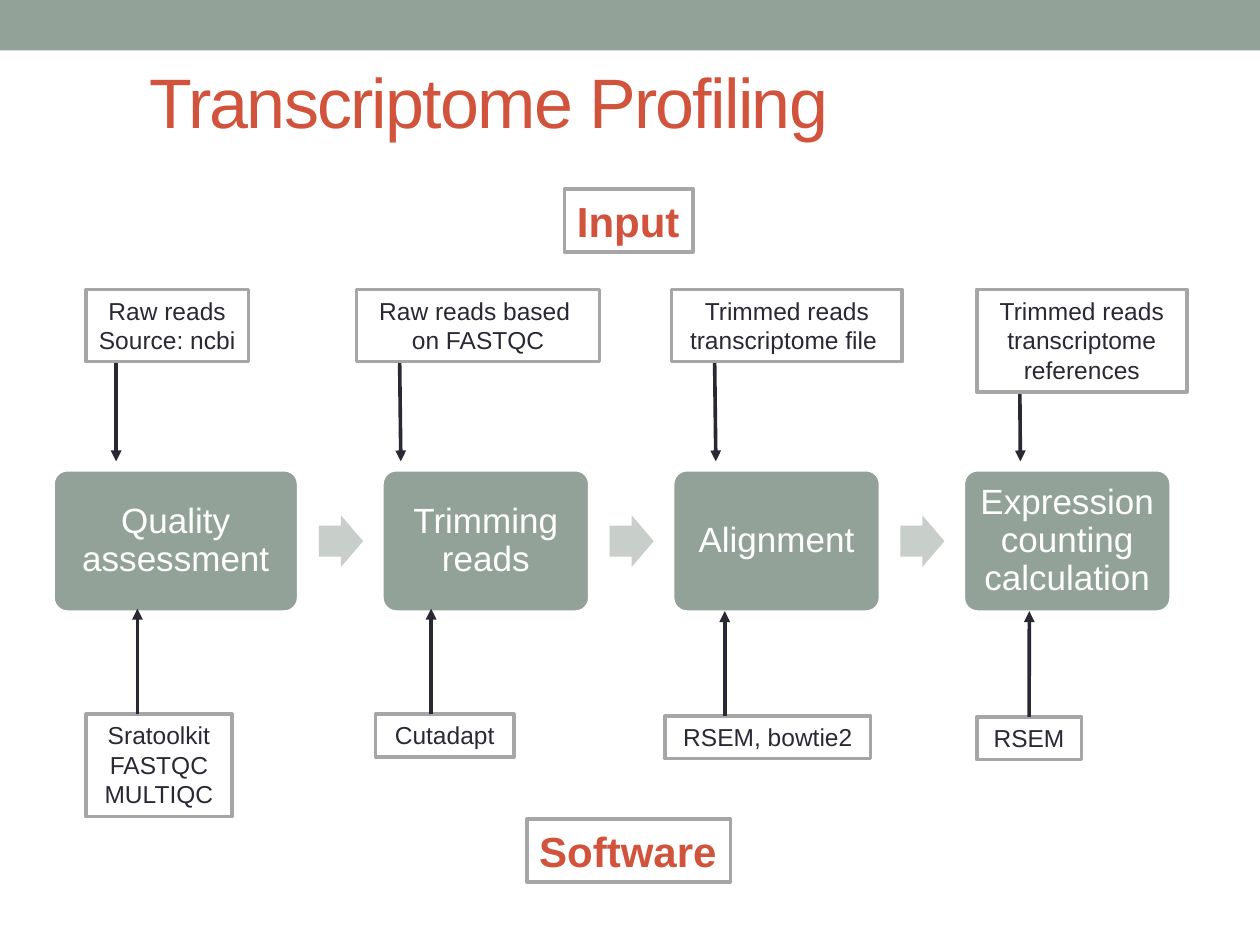
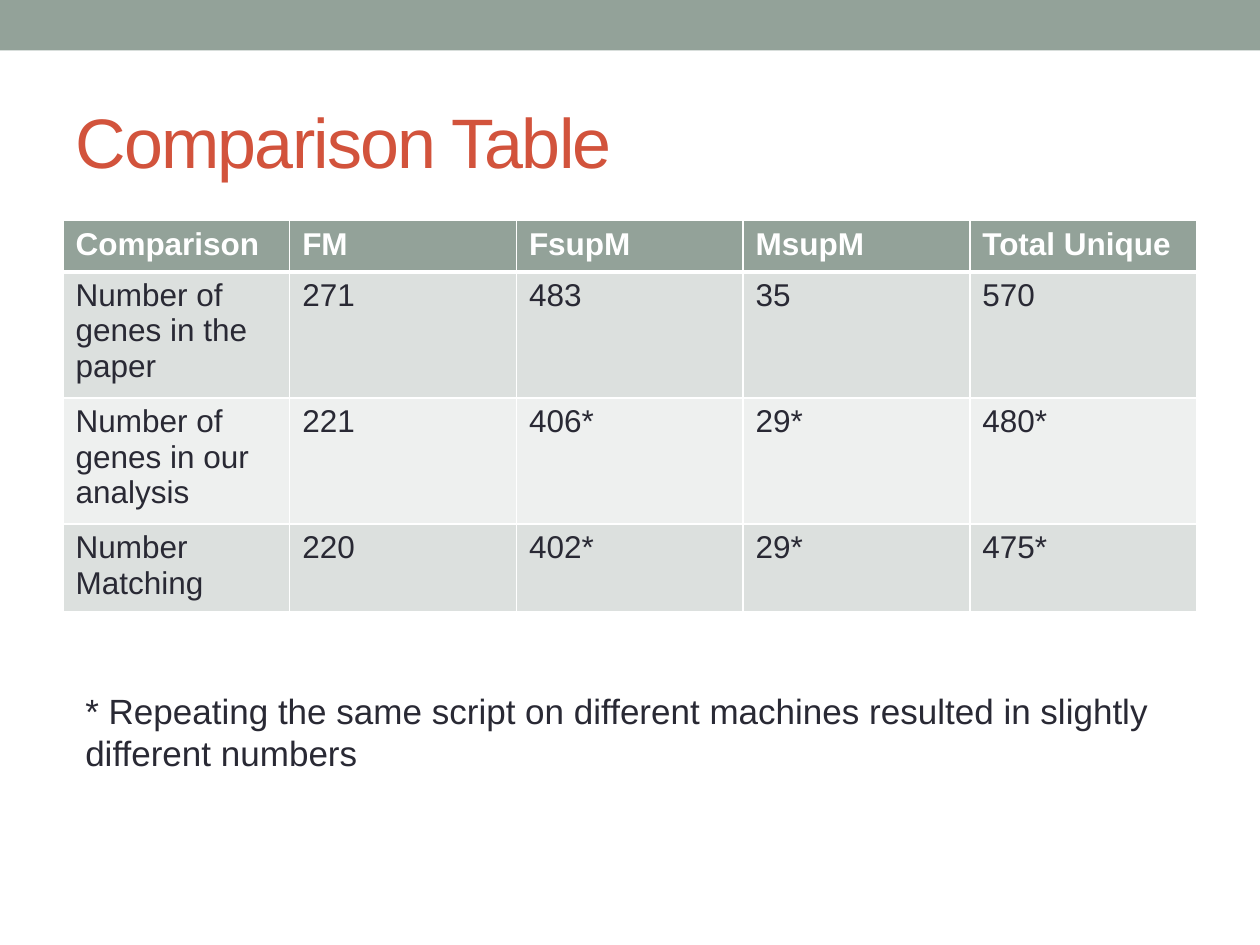
import dataclasses

import pptx
import pptx.dml.color
import pptx.enum.shapes
import pptx.enum.text
import pptx.oxml
import pptx.oxml.ns
import pptx.util
from pptx.util import Cm

SHAPE = pptx.enum.shapes.MSO_SHAPE
ANCHOR = pptx.enum.text.MSO_ANCHOR
ALIGN = pptx.enum.text.PP_ALIGN
DRAWING = pptx.oxml.ns.nsdecls("a")


@dataclasses.dataclass(frozen=True)
class Theme:
    font: str = "Arial"
    white: str = "FFFFFF"
    sage: str = "93A299"
    pale_sage: str = "C8CECA"
    red: str = "D2533C"
    ink: str = "292934"
    grey: str = "A6A6A6"
    stripes: tuple = ("DCE0DE", "EEF0EF")
    title_size: int = 40
    heading_size: int = 24
    body_size: int = 20
    table_size: int = 18
    note_size: int = 14
    line_width: float = 2.08


def rgb(code):
    return pptx.dml.color.RGBColor.from_string(code)


def set_all(target, values):
    for name, value in values.items():
        setattr(target, name, value)


class Deck:
    def __init__(self, theme):
        self.theme = theme
        self.presentation = pptx.Presentation()
        set_all(self.presentation, {"slide_width": Cm(25.4), "slide_height": Cm(19.05)})
        self.slide = None

    def new_slide(self, title, left, top, width, height):
        """Start a slide with the top band and a red title."""
        self.slide = self.presentation.slides.add_slide(self.presentation.slide_layouts[6])
        self.shape(SHAPE.RECTANGLE, 0, 0, 25.4, 1.02, self.theme.sage)
        box = self.text_box(title, left, top, width, height, size=self.theme.title_size,
                            color=self.theme.red, anchor=ANCHOR.MIDDLE)
        for run in box.text_frame.paragraphs[0].runs:
            run.font._element.set("spc", "-100")

    def fill_text(self, frame, text, size, color, bold=False, align=ALIGN.LEFT, spacing=None):
        """Fill a text frame, one paragraph for each line of text."""
        frame.text = text
        for paragraph in frame.paragraphs:
            set_all(paragraph, {"alignment": align, "line_spacing": spacing})
            for run in paragraph.runs:
                set_all(run.font, {"name": self.theme.font, "size": pptx.util.Pt(size),
                                   "bold": bold})
                run.font.color.rgb = rgb(color)

    def outline(self, shape, color):
        shape.line.color.rgb = rgb(color)
        shape.line.width = pptx.util.Pt(self.theme.line_width)

    def shape(self, kind, left, top, width, height, fill, line=None, adjustments=()):
        shape = self.slide.shapes.add_shape(kind, Cm(left), Cm(top), Cm(width), Cm(height))
        shape.shadow.inherit = False
        shape.fill.solid()
        shape.fill.fore_color.rgb = rgb(fill)
        for index, value in enumerate(adjustments):
            shape.adjustments[index] = value
        if line:
            self.outline(shape, line)
        else:
            shape.line.fill.background()
        return shape

    def text_box(self, text, left, top, width, height, size, color, anchor=ANCHOR.TOP,
                 wrap=True, **text_format):
        box = self.slide.shapes.add_textbox(Cm(left), Cm(top), Cm(width), Cm(height))
        set_all(box.text_frame, {"word_wrap": wrap, "vertical_anchor": anchor})
        self.fill_text(box.text_frame, text, size, color, **text_format)
        return box

    def framed_box(self, text, left, top, width, height, **text_format):
        box = self.text_box(text, left, top, width, height, **text_format)
        box.fill.solid()
        box.fill.fore_color.rgb = rgb(self.theme.white)
        self.outline(box, self.theme.grey)
        return box

    def note(self, text, left, top, width, height, wrap=True):
        return self.framed_box(text, left, top, width, height, wrap=wrap, align=ALIGN.CENTER,
                               size=self.theme.note_size, color=self.theme.ink)

    def heading(self, text, left, top, width):
        self.framed_box(text, left, top, width, 1.27, wrap=False, bold=True,
                        size=self.theme.heading_size, color=self.theme.red)

    def step(self, text, left, top, width, height):
        shape = self.shape(SHAPE.ROUNDED_RECTANGLE, left, top, width, height,
                           self.theme.sage, self.theme.white, [0.1])
        sides = ("left", "top", "right", "bottom")
        set_all(shape.text_frame, {f"margin_{side}": Cm(0.2) for side in sides})
        set_all(shape.text_frame, {"word_wrap": True, "vertical_anchor": ANCHOR.MIDDLE})
        self.fill_text(shape.text_frame, text, self.theme.body_size, self.theme.white,
                       align=ALIGN.CENTER, spacing=0.9)

    def arrow(self, start_x, start_y, end_x, end_y):
        connector = self.slide.shapes.add_connector(
            pptx.enum.shapes.MSO_CONNECTOR.STRAIGHT,
            Cm(start_x), Cm(start_y), Cm(end_x), Cm(end_y))
        self.outline(connector, self.theme.ink)
        connector.line._get_or_add_ln().append(
            pptx.oxml.parse_xml(f'<a:tailEnd {DRAWING} type="triangle"/>'))
        connector._element.spPr.append(pptx.oxml.parse_xml(f"<a:effectLst {DRAWING}/>"))
        return connector

    def border(self, cell, points):
        """Give a cell white borders; points maps L, R, T and B to widths."""
        for index, side in enumerate("LRTB"):
            cell._tc.get_or_add_tcPr().insert(index, pptx.oxml.parse_xml(
                f'<a:ln{side} {DRAWING} w="{pptx.util.Pt(points[side])}"><a:solidFill>'
                f'<a:srgbClr val="{self.theme.white}"/></a:solidFill></a:ln{side}>'))

    def table(self, rows, left, top, column_width, row_height):
        theme = self.theme
        table = self.slide.shapes.add_table(
            len(rows), len(rows[0]), Cm(left), Cm(top),
            Cm(column_width * len(rows[0])), Cm(row_height * len(rows))).table
        for row_index, values in enumerate(rows):
            header = row_index == 0
            fill = theme.sage if header else theme.stripes[(row_index - 1) % 2]
            for column_index, value in enumerate(values):
                cell = table.cell(row_index, column_index)
                cell.fill.solid()
                cell.fill.fore_color.rgb = rgb(fill)
                self.fill_text(cell.text_frame, value, theme.table_size,
                               theme.white if header else theme.ink, bold=header)
                self.border(cell, {"L": 1, "R": 1, "T": 3 if row_index == 1 else 1,
                                   "B": 3 if header else 1})


def build_profiling(deck):
    deck.new_slide("Transcriptome Profiling", 2.77, 0.69, 20.02, 2.67)

    step_top, step_height, pitch = 9.47, 2.87, 5.86
    steps = ["Quality assessment", "Trimming reads", "Alignment",
             "Expression counting calculation"]
    deck.step(steps[0], 1.07, step_top, 4.95, step_height)
    for index, text in enumerate(steps[1:]):
        left = 7.7 + pitch * index
        deck.shape(SHAPE.RIGHT_ARROW, left - 1.27, 10.39, 0.89, 1.04,
                   deck.theme.pale_sage, adjustments=[0.6, 0.5])
        deck.step(text, left, step_top, 4.19, step_height)

    # text, left, width, height, wrap, arrow start x, start y, end x
    inputs = [
        ("Raw reads\nSource: ncbi", 1.73, 3.28, 1.45, False, 2.34, 7.29, 2.34),
        ("Raw reads based \non FASTQC", 7.19, 4.9, 1.45, True, 8.05, 6.78, 8.08),
        ("Trimmed reads\ntranscriptome file ", 13.54, 4.65, 1.45, True, 14.4, 6.78, 14.43),
        ("Trimmed reads\ntranscriptome references", 19.69, 4.24, 2.06, True, 20.55, 6.78, 20.57),
    ]
    for text, left, width, height, wrap, start_x, start_y, end_x in inputs:
        deck.arrow(start_x, start_y, end_x, 9.3)
        deck.note(text, left, 5.84, width, height, wrap)

    # text, left, top, width, height, arrow x, arrow end y
    software = [
        ("Sratoolkit\nFASTQC\nMULTIQC", 1.73, 14.4, 2.95, 2.06, 2.77, 12.27),
        ("Cutadapt", 7.57, 14.4, 2.79, 0.86, 8.69, 12.27),
        ("RSEM, bowtie2", 13.41, 14.43, 4.14, 0.86, 14.61, 12.32),
        ("RSEM", 19.69, 14.45, 2.11, 0.86, 20.75, 12.32),
    ]
    for text, left, top, width, height, arrow_x, arrow_end in software:
        note = deck.note(text, left, top, width, height)
        connector = deck.arrow(arrow_x, top, arrow_x, arrow_end)
        if abs(left + width / 2 - arrow_x) < 0.02:
            connector.begin_connect(note, 0)

    deck.heading("Input", 11.38, 3.81, 2.59)
    deck.heading("Software", 10.62, 16.51, 4.11)


def build_comparison(deck):
    deck.new_slide("Comparison Table", 1.27, 1.47, 22.86, 2.74)
    rows = [
        ("Comparison", "FM", "FsupM", "MsupM", "Total Unique"),
        ("Number of genes in the paper", "271", "483", "35", "570"),
        ("Number of genes in our analysis", "221", "406*", "29*", "480*"),
        ("Number Matching", "220", "402*", "29*", "475*"),
    ]
    deck.table(rows, 1.27, 4.45, 4.57, 1.03)
    deck.text_box("* Repeating the same script on different machines resulted in slightly "
                  "different numbers", 1.47, 13.77, 22.86, 1.96,
                  size=deck.theme.body_size, color=deck.theme.ink)


def main():
    deck = Deck(Theme())
    build_profiling(deck)
    build_comparison(deck)
    deck.presentation.save("out.pptx")


if __name__ == "__main__":
    main()
